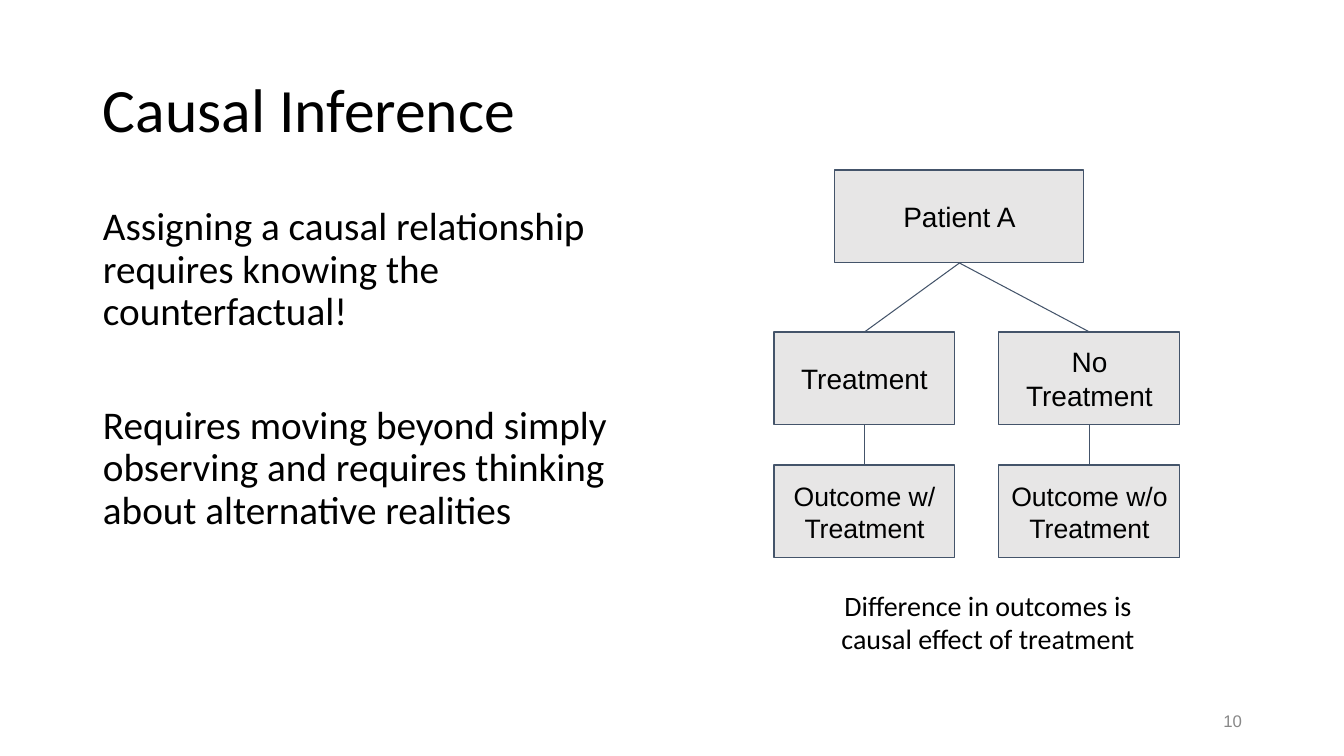
from lxml import etree
from pptx import Presentation
from pptx.dml.color import RGBColor
from pptx.enum.shapes import MSO_CONNECTOR, MSO_SHAPE
from pptx.enum.text import MSO_ANCHOR, PP_ALIGN
from pptx.oxml.ns import qn
from pptx.util import Emu, Pt

RECTANGLE = MSO_SHAPE.RECTANGLE
STRAIGHT = MSO_CONNECTOR.STRAIGHT
TOP, MIDDLE = MSO_ANCHOR.TOP, MSO_ANCHOR.MIDDLE
LEFT, CENTER, RIGHT = PP_ALIGN.LEFT, PP_ALIGN.CENTER, PP_ALIGN.RIGHT
BOX_TOP, BOX_BOTTOM = 0, 2

EMU_PER_PX = 9071.43
COLORS = {"text": "000000", "number": "888888", "box": "E7E6E6", "line": "44546A"}
LINE_WIDTH = Pt(0.75)

PAGE_SIZE = (1344, 756)
BOX_HEIGHT = 93
BRANCH_WIDTH = 181
TREATMENT_TOP, OUTCOME_TOP = 332, 465
BRANCHES = [
    (774, "Treatment", "Outcome w/ Treatment"),
    (999, "No Treatment", "Outcome w/o Treatment"),
]


def px(length):
    return Emu(round(length * EMU_PER_PX))


def color(name):
    return RGBColor.from_string(COLORS[name])


def set_all(target, values):
    for name, value in values.items():
        setattr(target, name, value)


def write_text(shape, paragraphs, size, font="Calibri", ink="text", align=LEFT,
               anchor=TOP, inset=10, spacing=None, gaps=(0,)):
    """Fill a shape with paragraphs; gaps holds the points before each one."""
    frame = shape.text_frame
    set_all(frame, {
        "word_wrap": True, "vertical_anchor": anchor,
        "margin_left": px(10), "margin_right": px(10),
        "margin_top": px(inset), "margin_bottom": px(inset),
    })
    for index, (text, gap) in enumerate(zip(paragraphs, gaps)):
        para = frame.add_paragraph() if index else frame.paragraphs[0]
        set_all(para, {"alignment": align, "line_spacing": spacing,
                       "space_before": Pt(gap)})
        span = para.add_run()
        span.text = text
        set_all(span.font, {"name": font, "size": Pt(size)})
        span.font.color.rgb = color(ink)


def add_text(page, area, paragraphs, size, **formats):
    box = page.shapes.add_textbox(*map(px, area))
    write_text(box, paragraphs, size, **formats)


def add_box(page, area, text, size=20):
    box = page.shapes.add_shape(RECTANGLE, *map(px, area))
    box.shadow.inherit = False
    box.fill.solid()
    box.fill.fore_color.rgb = color("box")
    box.line.color.rgb = color("line")
    box.line.width = LINE_WIDTH
    write_text(box, [text], size, font="Arial", align=CENTER, anchor=MIDDLE)
    return box


def join_down(page, upper, lower):
    """Join the bottom of the upper box to the top of the lower one."""
    link = page.shapes.add_connector(STRAIGHT, 0, 0, 0, 0)
    link.begin_connect(upper, BOX_BOTTOM)
    link.end_connect(lower, BOX_TOP)
    link.line.color.rgb = color("line")
    link.line.width = LINE_WIDTH
    etree.SubElement(link._element.spPr, qn("a:effectLst"))


def add_tree(page):
    patient = add_box(page, (835, 170, 249, BOX_HEIGHT), "Patient A")
    for left, choice, result in BRANCHES:
        treatment = add_box(
            page, (left, TREATMENT_TOP, BRANCH_WIDTH, BOX_HEIGHT), choice)
        outcome = add_box(
            page, (left, OUTCOME_TOP, BRANCH_WIDTH, BOX_HEIGHT), result, size=19)
        join_down(page, patient, treatment)
        join_down(page, treatment, outcome)


def main():
    deck = Presentation()
    deck.slide_width, deck.slide_height = map(px, PAGE_SIZE)
    page = deck.slides.add_slide(deck.slide_layouts[6])
    add_text(page, (93, 40, 1159, 146), ["Causal Inference"], 44,
             anchor=MIDDLE, inset=5, spacing=0.9)
    add_text(page, (93, 202, 572, 480), [
        "Assigning a causal relationship requires knowing the counterfactual!",
        "Requires moving beyond simply observing and requires thinking "
        "about alternative realities",
    ], 28, inset=5, spacing=0.9, gaps=(10, 51))
    add_tree(page)
    add_text(page, (805, 578, 366, 104),
             ["Difference in outcomes is causal effect of treatment"], 20,
             align=CENTER)
    add_text(page, (950, 701, 302, 40), ["10"], 12, font="Arial",
             ink="number", align=RIGHT, anchor=MIDDLE, inset=5)
    deck.save("out.pptx")


if __name__ == "__main__":
    main()
